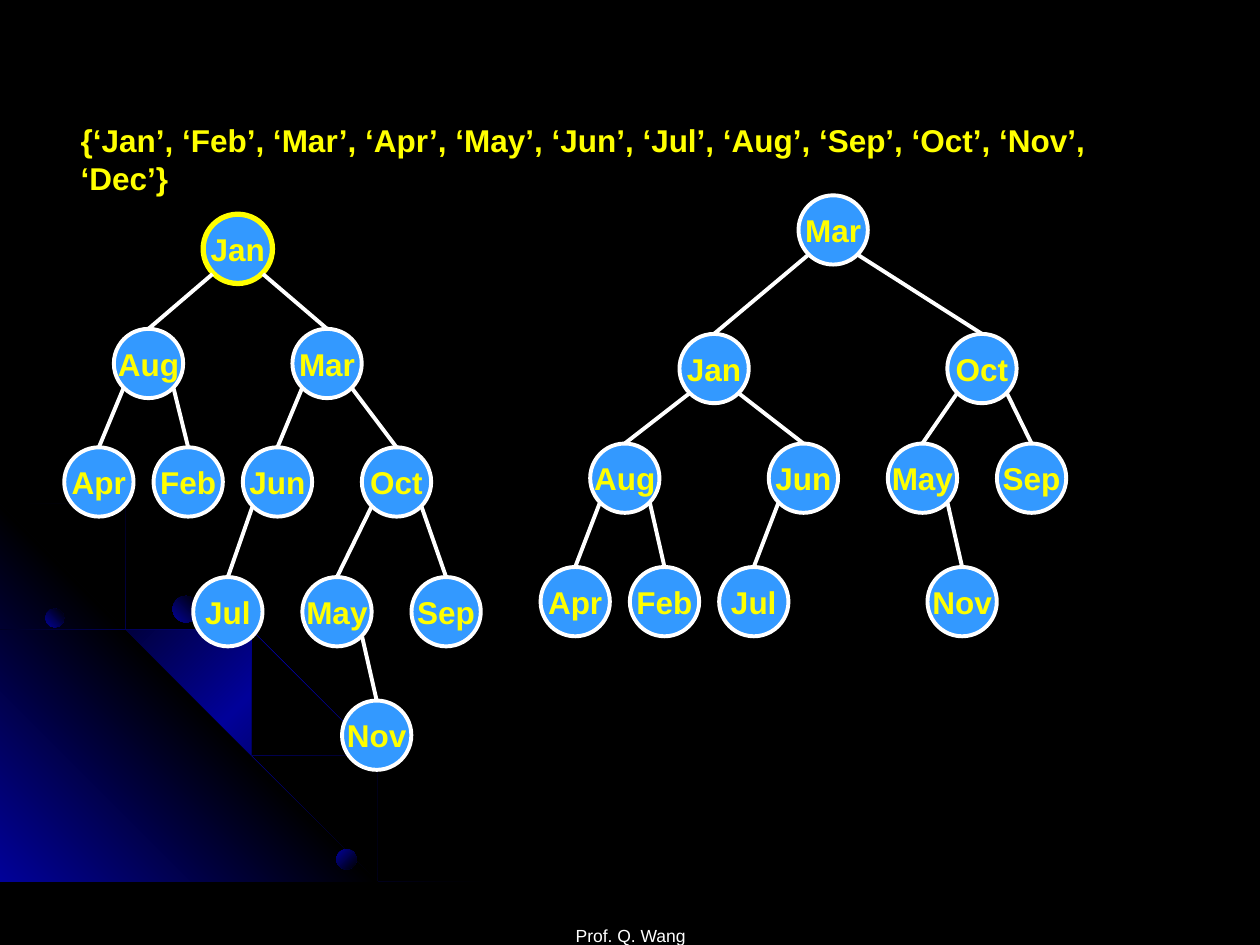
from copy import deepcopy

from pptx import Presentation
from pptx import util as u
from pptx.dml.color import RGBColor
from pptx.enum import shapes, text
from pptx.oxml.ns import qn

BLACK = RGBColor(0x00, 0x00, 0x00)
NAVY = RGBColor(0x01, 0x01, 0x99)
WHITE = RGBColor(0xFF, 0xFF, 0xFF)
YELLOW = RGBColor(0xFF, 0xFF, 0x00)
BLUE = RGBColor(0x33, 0x99, 0xFF)

WIDTH, HEIGHT = 10, 7.5
COL = WIDTH / 127    # column step of the trees
NODE = 0.55          # node diameter
FOOT = 0.2           # offset of an edge's start from the parent's centre

# Each node: name -> (level, column, parent)
LEFT_TREE = {
    "Jan": (0, 14, None),
    "Aug": (1, 5, "Jan"), "Mar": (1, 23, "Jan"),
    "Apr": (2, 0, "Aug"), "Feb": (2, 9, "Aug"),
    "Jun": (2, 18, "Mar"), "Oct": (2, 30, "Mar"),
    "Jul": (3, 13, "Jun"), "May": (3, 24, "Oct"), "Sep": (3, 35, "Oct"),
    "Nov": (4, 28, "May"),
}
RIGHT_TREE = {
    "Mar": (0, 26, None),
    "Jan": (1, 14, "Mar"), "Oct": (1, 41, "Mar"),
    "Aug": (2, 5, "Jan"), "Jun": (2, 23, "Jan"),
    "May": (2, 35, "Oct"), "Sep": (2, 46, "Oct"),
    "Apr": (3, 0, "Aug"), "Feb": (3, 9, "Aug"),
    "Jul": (3, 18, "Jun"), "Nov": (3, 39, "May"),
}

# Background outlines in inches
CORNER = [(3.22, 7.49), (0, 7.49), (0, 4.27)]
OUTER_ARC = [
    (0.57, 4.47), (0.28, 4.41), (0, 4.35), (0, 4.38), (0.28, 4.43),
    (0.56, 4.49), (0.97, 4.61), (1.35, 4.78), (1.73, 4.99), (2.08, 5.23),
    (2.41, 5.49), (2.71, 5.79), (2.98, 6.12), (3.23, 6.49), (3.37, 6.73),
    (3.5, 6.98), (3.6, 7.23), (3.7, 7.49), (3.72, 7.49), (3.62, 7.23),
    (3.52, 6.98), (3.39, 6.73), (3.25, 6.48), (3, 6.11), (2.72, 5.78),
    (2.42, 5.48), (2.09, 5.21), (1.74, 4.97), (1.36, 4.77), (0.98, 4.59)]
INNER_ARC = [
    (2.85, 7.14), (2.94, 7.32), (3.01, 7.49), (3.03, 7.49), (2.96, 7.3),
    (2.86, 7.12), (2.66, 6.76), (2.42, 6.4), (2.15, 6.06), (1.84, 5.76),
    (1.52, 5.49), (1.17, 5.26), (0.79, 5.05), (0.41, 4.88), (0, 4.75),
    (0, 4.77), (0.39, 4.9), (0.77, 5.07), (1.15, 5.28), (1.5, 5.51),
    (1.83, 5.78), (2.13, 6.08), (2.4, 6.42), (2.65, 6.77)]
MIDDLE_ARC = [
    (0, 4.42), (0, 4.44), (0.36, 4.57), (0.74, 4.75), (1.09, 4.94),
    (1.42, 5.18), (1.73, 5.44), (2.02, 5.75), (2.27, 6.05), (2.52, 6.41),
    (2.67, 6.67), (2.8, 6.94), (2.92, 7.22), (3.01, 7.49), (3.03, 7.49),
    (2.94, 7.2), (2.82, 6.93), (2.69, 6.65), (2.54, 6.39), (2.29, 6.03),
    (2.04, 5.73), (1.75, 5.43), (1.44, 5.16), (1.11, 4.93), (0.76, 4.73),
    (0.39, 4.55)]


def place(sp, left, top, width, height):
    sp.left, sp.top = u.Inches(left), u.Inches(top)
    sp.width, sp.height = u.Inches(width), u.Inches(height)


def write(sp, words, size, color, align, anchor, bold=False, wrap=True):
    tf = sp.text_frame
    tf.text = words
    tf.word_wrap = wrap
    tf.vertical_anchor = anchor
    p = tf.paragraphs[0]
    p.alignment = align
    f = p.runs[0].font
    f.name, f.size, f.bold = "Arial", u.Pt(size), bold
    f.color.rgb = color


def shade(sp, colors, angle):
    """Spread the colours evenly along a gradient, angle counter-clockwise."""
    sp.shadow.inherit = False
    sp.line.fill.background()
    sp.fill.gradient()
    sp.fill.gradient_angle = angle
    stop_list = next(sp.element.iter(qn("a:gsLst")))
    for _ in colors[2:]:
        stop_list.append(deepcopy(stop_list[0]))
    for i, (stop, color) in enumerate(zip(sp.fill.gradient_stops, colors)):
        stop.position = i / (len(colors) - 1)
        stop.color.rgb = color


def add_outline(s, points, colors, angle):
    builder = s.shapes.build_freeform(*points[0], scale=u.Inches(1))
    builder.add_line_segments(points[1:], close=True)
    shade(builder.convert_to_shape(), colors, angle)


def add_circle(s, left, top, size):
    box = (u.Inches(v) for v in (left, top, size, size))
    return s.shapes.add_shape(shapes.MSO_SHAPE.OVAL, *box)


def add_edge(s, start, end):
    ends = (u.Inches(v) for v in (*start, *end))
    line = s.shapes.add_connector(shapes.MSO_CONNECTOR.STRAIGHT, *ends)
    line.line.color.rgb = WHITE
    line.line.width = u.Pt(2.25)
    sp_pr = line.element.spPr
    sp_pr.append(sp_pr.makeelement(qn("a:effectLst"), {}))


def add_node(s, name, left, top, marked):
    sp = add_circle(s, left, top, NODE)
    sp.shadow.inherit = False
    sp.fill.solid()
    sp.fill.fore_color.rgb = BLUE
    sp.line.color.rgb = YELLOW if marked else WHITE
    sp.line.width = u.Pt(3 if marked else 2.25)
    write(sp, name, 18, YELLOW, text.PP_ALIGN.CENTER, text.MSO_ANCHOR.MIDDLE,
          bold=True, wrap=False)


def add_tree(s, tree, left, levels, marked=None):
    spots = {name: (left + col * COL, levels[level])
             for name, (level, col, _) in tree.items()}
    for name, (_, _, parent) in tree.items():
        x, y = spots[name]
        add_node(s, name, x, y, name == marked)
        if parent:
            px, py = spots[parent]
            side = FOOT if x > px else -FOOT
            add_edge(s, (px + NODE / 2 + side, py + NODE / 2 + FOOT),
                     (x + NODE / 2, y))


def add_background(s):
    s.background.fill.solid()
    s.background.fill.fore_color.rgb = BLACK
    streak = [BLACK, NAVY, BLACK]
    add_outline(s, OUTER_ARC, streak, 315)
    add_outline(s, CORNER, [NAVY, BLACK, NAVY], 45)
    add_outline(s, INNER_ARC, streak, 315)
    add_outline(s, MIDDLE_ARC, streak, 315)
    for left, top, size, angle in [(0.36, 4.83, 0.15, 45),
                                   (2.67, 6.74, 0.16, 315),
                                   (1.37, 4.73, 0.21, 45)]:
        shade(add_circle(s, left, top, size), [NAVY, BLACK], angle)


def main():
    prs = Presentation()
    prs.slide_width, prs.slide_height = u.Inches(WIDTH), u.Inches(HEIGHT)
    s = prs.slides.add_slide(prs.slide_layouts[5])
    add_background(s)

    # Insertion sequence
    title = s.shapes.title
    place(title, 0.54, 0.91, 8.92, 0.4)
    write(title, "{‘Jan’, ‘Feb’, ‘Mar’, ‘Apr’, ‘May’, ‘Jun’, ‘Jul’, ‘Aug’, "
          "‘Sep’, ‘Oct’, ‘Nov’, ‘Dec’}", 18, YELLOW, text.PP_ALIGN.LEFT,
          text.MSO_ANCHOR.TOP, bold=True)
    title.text_frame.auto_size = text.MSO_AUTO_SIZE.SHAPE_TO_FIT_TEXT

    # Tree before and after rebalancing
    add_tree(s, LEFT_TREE, 0.51, [1.7, 2.61, 3.55, 4.58, 5.56], marked="Jan")
    add_tree(s, RIGHT_TREE, 4.29, [1.55, 2.65, 3.52, 4.5])

    # Footer
    footer = s.shapes.add_textbox(0, 0, 0, 0)
    place(footer, 3.42, 7.01, 3.17, 0.5)
    write(footer, "Prof. Q. Wang", 10, WHITE, text.PP_ALIGN.CENTER,
          text.MSO_ANCHOR.BOTTOM)
    footer.text_frame.margin_bottom = 0

    prs.save("out.pptx")


if __name__ == "__main__":
    main()
